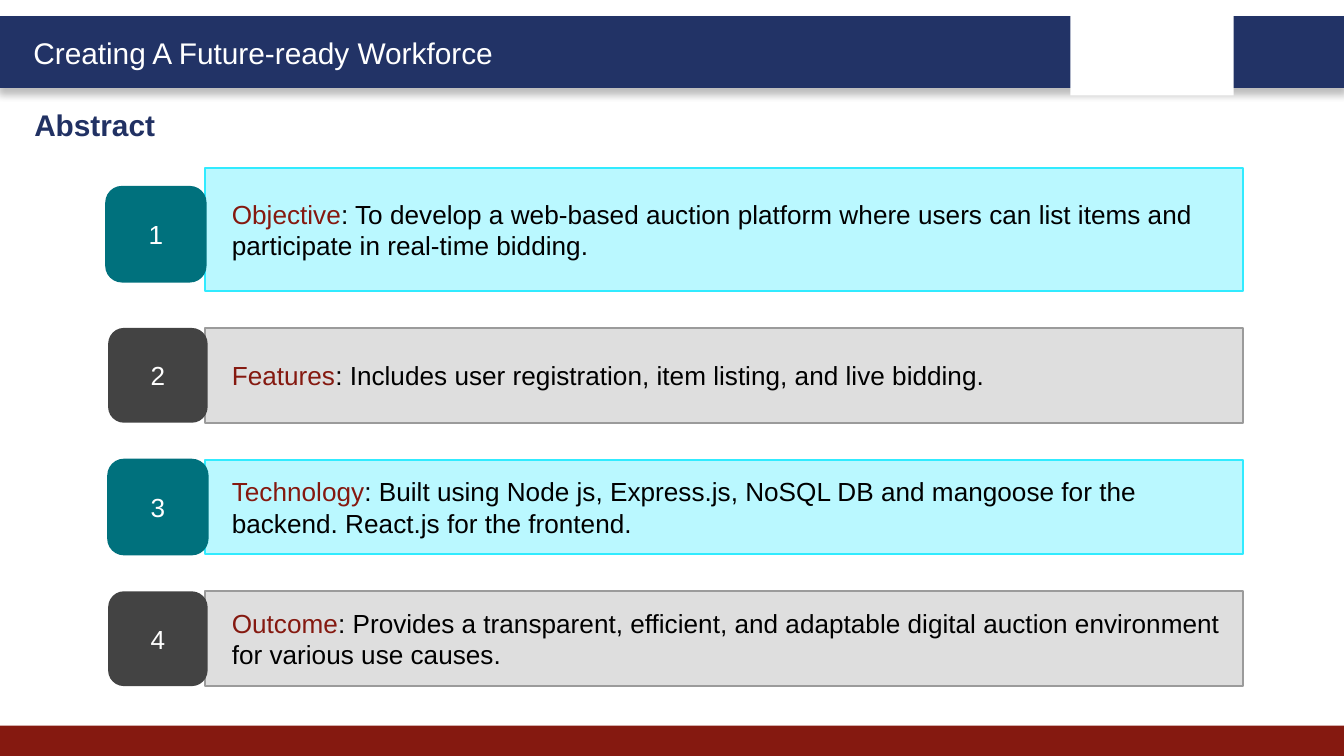
"""Build the abstract slide of an auction platform deck."""
import dataclasses

import pptx
import pptx.dml.color
import pptx.enum.shapes
import pptx.enum.text
import pptx.oxml
import pptx.oxml.ns
import pptx.util

PX = 4572
KIND = pptx.enum.shapes.MSO_SHAPE
ALIGN = pptx.enum.text.PP_ALIGN
MIDDLE = pptx.enum.text.MSO_ANCHOR.MIDDLE


@dataclasses.dataclass(frozen=True)
class Theme:
    """Colours, font and type sizes of the slide."""
    font: str = "Arial"
    head: int = 16
    body: int = 14
    navy: str = "223366"
    title: str = "213163"
    red: str = "851910"
    white: str = "FFFFFF"
    black: str = "000000"
    aqua: tuple = ("BAF8FF", "31EBFF", "00717D")
    gray: tuple = ("DEDEDE", "9B9B9B", "434343")


THEME = Theme()
CARDS = [
    (183, (-3, 28), "Objective",
     [": To develop a web-based auction platform where users can list items and",
      "participate in real-time bidding."]),
    (141, (0, 0), "Features",
     [": Includes user registration, item listing, and live bidding."]),
    (141, (0, 0), "Technology",
     [": Built using Node js, Express.js, NoSQL DB and mangoose for the "
      "backend. React.js for the frontend."]),
    (141, (0, 0), "Outcome",
     [": Provides a transparent, efficient, and adaptable digital auction "
      "environment for various use causes."]),
]


def rgb(code):
    """Turn a hex code into a colour."""
    return pptx.dml.color.RGBColor.from_string(code)


def apply(item, form):
    """Set each attribute named in a dict of format values."""
    for name, value in form.items():
        setattr(item, name, value)


def emu(box):
    """Turn a box in px into EMU lengths."""
    return [n * PX for n in box]


def block(slide, kind, box, fill, line=None, width=1):
    """Add a filled shape without shadow."""
    shape = slide.shapes.add_shape(kind, *emu(box))
    shape.shadow.inherit = False
    shape.fill.solid()
    shape.fill.fore_color.rgb = rgb(fill)
    if line:
        shape.line.color.rgb = rgb(line)
        shape.line.width = pptx.util.Pt(width)
    else:
        shape.line.fill.background()
    return shape


def frame(shape, left=20):
    """Prepare a wrapped, vertically centred text frame."""
    text = shape.text_frame
    apply(text, {"word_wrap": True, "vertical_anchor": MIDDLE,
                 "margin_left": left * PX, "margin_right": 20 * PX,
                 "margin_top": 10 * PX, "margin_bottom": 10 * PX})
    return text


def write(para, text, size, color, bold=False, align=ALIGN.LEFT):
    """Add a formatted run to a paragraph."""
    para.alignment = align
    run = para.add_run()
    run.text = text
    apply(run.font, {"name": THEME.font, "size": pptx.util.Pt(size),
                     "bold": bold})
    run.font.color.rgb = rgb(color)


def shade(shape):
    """Give a shape a soft shadow below it."""
    ns = pptx.oxml.ns
    node = pptx.oxml.parse_xml(
        f'<a:outerShdw {ns.nsdecls("a")} blurRad="50800" dist="38100" '
        f'dir="5400000" algn="t" rotWithShape="0"><a:srgbClr '
        f'val="{THEME.black}"><a:alpha val="25000"/></a:srgbClr>'
        f'</a:outerShdw>')
    shape.element.spPr.find(ns.qn("a:effectLst")).append(node)


def banner(slide, box):
    """Draw the top bar with its motto and blank logo panel."""
    left, top, width, height = box
    shade(block(slide, KIND.RECTANGLE, box, THEME.navy, THEME.navy, 2))
    block(slide, KIND.RECTANGLE, (left + 1593, top - 12, 243, 128),
          THEME.white)
    motto = slide.shapes.add_textbox(*emu((left + 30, top + 16, 756, 74)))
    write(frame(motto).paragraphs[0], "Creating A Future-ready Workforce",
          THEME.head, THEME.white)


def heading(slide, box):
    """Place and format the title."""
    title = slide.shapes.title
    apply(title, dict(zip(("left", "top", "width", "height"), emu(box))))
    write(frame(title).paragraphs[0], "Abstract", THEME.head, THEME.title,
          bold=True)


def card(slide, box, tone, shift, label, lines, mark):
    """Draw one text panel with its numbered badge."""
    left, top, width, height = box
    fill, edge, dark = tone
    panel = block(slide, KIND.RECTANGLE,
                  (left + 144, top, width - 144, height), fill, edge)
    text = frame(panel, 40)
    para = text.paragraphs[0]
    write(para, label, THEME.body, THEME.red)
    write(para, lines[0], THEME.body, THEME.black)
    for line in lines[1:]:
        write(text.add_paragraph(), line, THEME.body, THEME.black)
    badge = block(slide, KIND.ROUNDED_RECTANGLE,
                  (left + shift[0], top + shift[1], 148, 141),
                  dark, dark if tone is THEME.aqua else None)
    write(frame(badge).paragraphs[0], str(mark), THEME.body, THEME.white,
          align=ALIGN.CENTER)


def stack(slide, box, gap):
    """Stack the cards downwards with equal gaps."""
    left, top, width = box
    for mark, (height, shift, label, lines) in enumerate(CARDS, 1):
        tone = THEME.aqua if mark % 2 else THEME.gray
        card(slide, (left, top, width, height), tone, shift, label, lines,
             mark)
        top += height + gap


def main():
    """Build and save the deck."""
    deck = pptx.Presentation()
    apply(deck, {"slide_width": 2000 * PX, "slide_height": 1125 * PX})
    slide = deck.slides.add_slide(deck.slide_layouts[5])
    banner(slide, (0, 26, 2000, 103))
    block(slide, KIND.RECTANGLE, (0, 1080, 2000, 45), THEME.red)
    heading(slide, (31, 149, 968, 74))
    stack(slide, (161, 250, 1689), 55)
    deck.save("out.pptx")


if __name__ == "__main__":
    main()
